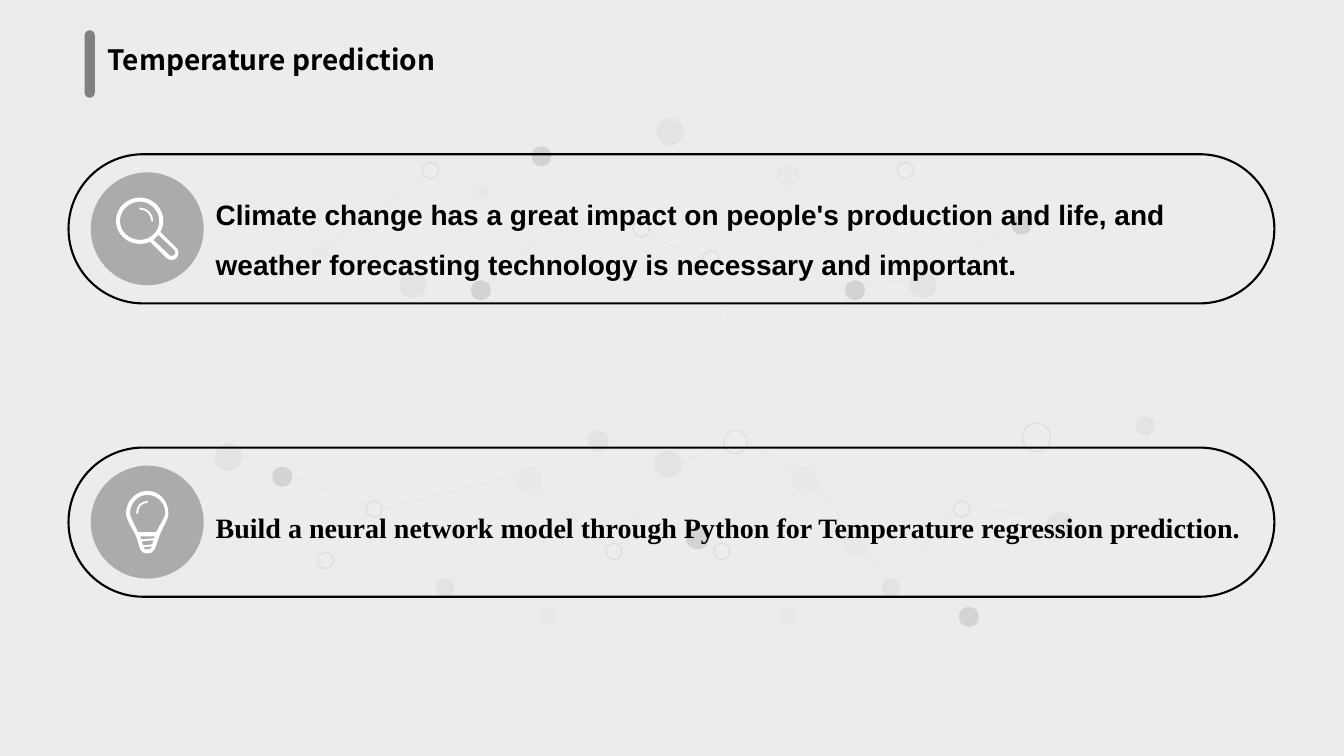
from pptx import Presentation
from pptx.util import Inches, Pt
from pptx.dml.color import RGBColor as Rgb
from pptx.enum.shapes import MSO_SHAPE as Shape, MSO_CONNECTOR as Link
from pptx.enum.text import MSO_AUTO_SIZE as Auto
from pptx.oxml.ns import qn
from lxml.etree import SubElement as Sub

THEME = {
    "back": "ECECEC", "ink": "000000", "gray": "808080", "white": "FFFFFF",
    "web": "BFBFBF", "dark": "262626", "mid": "A6A6A6", "pale": "D9D9D9", "ring": "F7F7F7",
    "size": 20, "thin": 0.5, "edge": 1, "frame": 1.5,
}
SIZE = (13.33, 7.5)

WEB = [
    (8.41, 2.95, 8.07, 3.72), (9.17, 2.77, 8.49, 2.81), (9.12, 2.81, 10.03, 2.23),
    (7.15, 4.4, 6.67, 4.65), (3.78, 5.05, 5.18, 4.7), (2.9, 4.73, 3.71, 5.04),
    (6.03, 5.44, 5.2, 4.72), (6.15, 5.41, 6.58, 4.65), (7.06, 2.6, 7.27, 3.37),
    (7.35, 4.34, 8, 4.77), (9.62, 5.05, 10.52, 5.12), (8.88, 5.81, 9.46, 5.05),
    (8.85, 5.81, 8.04, 4.75), (5.52, 2.17, 6.3, 2.22), (5.51, 2.23, 4.84, 2.81),
    (6.41, 2.33, 6.97, 2.57), (3.23, 2.46, 4.21, 1.75), (4.77, 2.78, 4.32, 1.75),
]
DOTS = {
    ("pale", 0.17): [(8.58, 2.09), (7.59, 2.09), (7.73, 6.03), (3.09, 2.43), (4.68, 1.82),
                     (5.49, 2.09), (5.35, 6.03), (4.44, 5.18)],
    ("pale", 0.23): [(7.7, 1.62)],
    ("pale", 0.27): [(7.85, 4.63), (8.35, 5.26), (5.12, 4.63)],
    ("mid", 0.19): [(11.26, 4.13), (8.74, 5.74), (4.32, 5.74)],
    ("mid", 0.21): [(5.83, 4.27)],
    ("mid", 0.27): [(9.02, 2.69), (10.38, 5.08), (2.13, 4.4), (3.96, 2.69), (6.51, 1.17),
                    (6.49, 4.47)],
    ("dark", 0.2): [(10.03, 2.13), (8.38, 2.78), (9.51, 6.02), (5.27, 1.45), (4.67, 2.78),
                    (2.7, 4.63)],
    ("dark", 0.24): [(6.8, 5.21)],
    ("ring", 0.16): [(9.46, 4.97), (8.9, 1.61), (6.97, 2.49), (7.08, 5.39), (3.63, 4.97),
                     (4.19, 1.61), (6.28, 2.19), (6.01, 5.39), (3.15, 5.48)],
    ("ring", 0.23): [(7.18, 4.27)],
    ("ring", 0.28): [(10.14, 4.2)],
}
LENS = [
    "M 1.39 2.38 C 1.49 2.38 1.58 2.3 1.58 2.19 C 1.58 2.09 1.49 2 1.39 2 "
    "C 1.28 2 1.19 2.09 1.19 2.19 C 1.19 2.3 1.28 2.38 1.39 2.38 "
    "M 1.68 2.53 C 1.68 2.54 1.69 2.54 1.7 2.54 C 1.72 2.54 1.74 2.53 1.74 2.51 "
    "C 1.74 2.5 1.73 2.49 1.73 2.48 L 1.57 2.33 C 1.56 2.35 1.54 2.36 1.52 2.38 "
    "M 1.39 1.96 C 1.51 1.96 1.62 2.06 1.62 2.19 C 1.62 2.23 1.61 2.27 1.59 2.3 "
    "L 1.75 2.46 C 1.76 2.47 1.77 2.49 1.77 2.51 C 1.77 2.55 1.74 2.58 1.7 2.58 "
    "C 1.68 2.58 1.67 2.57 1.65 2.56 L 1.49 2.4 C 1.46 2.41 1.42 2.42 1.39 2.42 "
    "C 1.26 2.42 1.15 2.32 1.15 2.19 C 1.15 2.06 1.26 1.96 1.39 1.96",
    "M 1.39 2.06 C 1.46 2.06 1.52 2.12 1.52 2.19 C 1.52 2.2 1.52 2.2 1.51 2.2 "
    "C 1.51 2.2 1.5 2.2 1.5 2.19 C 1.5 2.13 1.45 2.08 1.39 2.08 "
    "C 1.38 2.08 1.38 2.07 1.38 2.07 C 1.38 2.06 1.38 2.06 1.39 2.06",
]
BULB = [
    "M 1.55 5.28 L 1.37 5.28 C 1.36 5.26 1.35 5.24 1.34 5.22 C 1.32 5.17 1.29 5.13 1.29 5.09 "
    "C 1.29 4.99 1.37 4.91 1.46 4.91 C 1.56 4.91 1.64 4.99 1.64 5.09 "
    "C 1.64 5.12 1.61 5.17 1.58 5.22 C 1.57 5.24 1.56 5.26 1.55 5.28 "
    "M 1.46 5.45 C 1.44 5.45 1.43 5.45 1.42 5.43 L 1.51 5.42 C 1.49 5.45 1.49 5.45 1.46 5.45 "
    "M 1.4 5.35 C 1.4 5.34 1.39 5.33 1.39 5.32 L 1.54 5.32 C 1.53 5.32 1.53 5.33 1.53 5.34 "
    "M 1.51 5.4 L 1.42 5.41 C 1.41 5.4 1.41 5.39 1.41 5.37 L 1.52 5.36 "
    "C 1.52 5.38 1.51 5.39 1.51 5.4 "
    "M 1.46 4.87 C 1.35 4.87 1.25 4.97 1.25 5.09 C 1.25 5.16 1.32 5.25 1.35 5.32 "
    "C 1.39 5.43 1.38 5.49 1.46 5.49 C 1.54 5.49 1.54 5.43 1.58 5.32 "
    "C 1.6 5.25 1.67 5.16 1.67 5.09 C 1.67 4.97 1.58 4.87 1.46 4.87",
    "M 1.46 4.97 C 1.4 4.97 1.35 5.02 1.35 5.09 C 1.35 5.09 1.35 5.1 1.36 5.1 "
    "C 1.36 5.1 1.37 5.09 1.37 5.09 C 1.37 5.03 1.41 4.99 1.46 4.99 "
    "C 1.47 4.99 1.47 4.99 1.47 4.98 C 1.47 4.98 1.47 4.97 1.46 4.97",
]
CARDS = [1.53, 4.44]
TITLE = ("Temperature prediction", (0.97, 0.37, 3.6, 0.44), "Noto Sans CJK SC", 1)
TEXTS = [
    ("Climate change has a great impact on people's production and life, and weather "
     "forecasting technology is necessary and important.",
     (2.04, 1.74, 10.52, 1.05), "Arial", 1.5),
    ("Build a neural network model through Python for Temperature regression prediction.",
     (2.04, 4.85, 10.45, 0.55), "Times New Roman", 1.5),
]

deck = Presentation()
deck.slide_width, deck.slide_height = map(Inches, SIZE)
slide = deck.slides.add_slide(deck.slide_layouts[6])
parts = slide.shapes


def tint(name):
    return Rgb.from_string(THEME[name])


def put(item, form):
    for key, val in form.items():
        setattr(item, key, val)


def paint(part, fill=None, line=None, width="edge", alpha=None):
    part.shadow.inherit = False
    if fill:
        part.fill.solid()
        part.fill.fore_color.rgb = tint(fill)
    else:
        part.fill.background()
    if alpha:
        tag = part.fill._xPr.find(qn("a:solidFill"))[0]
        Sub(tag, qn("a:alpha"), val=str(alpha * 1000))
    if line:
        part.line.color.rgb = tint(line)
        part.line.width = Pt(THEME[width])
    else:
        part.line.fill.background()


def add(kind, box, host=parts, **look):
    part = host.add_shape(kind, *map(Inches, box))
    if kind == Shape.ROUNDED_RECTANGLE:
        part.adjustments[0] = 0.5
    paint(part, **look)


def bend(part, kinds):
    legs = iter(list(part._element.iter(qn("a:lnTo"))))
    for kind in kinds:
        leg = next(legs)
        if kind == "C":
            arc = leg.getparent().makeelement(qn("a:cubicBezTo"))
            leg.addprevious(arc)
            for knot in (leg, next(legs), next(legs)):
                arc.append(knot[0])
                knot.getparent().remove(knot)


def icon(text, host=parts):
    loops = []
    for loop in text.split("M ")[1:]:
        nums = [float(word) for word in loop.split() if word not in "LC"]
        loops.append([(Inches(x), Inches(y)) for x, y in zip(nums[::2], nums[1::2])])
    pen = host.build_freeform(*loops[0][0])
    for turn, (start, *knots) in enumerate(loops):
        if turn:
            pen.move_to(*start)
        pen.add_line_segments(knots, close=True)
    part = pen.convert_to_shape()
    bend(part, [word for word in text.split() if word in "LC"])
    paint(part, fill="white")


def write(text, box, face, gap, host=parts):
    frame = host.add_textbox(*map(Inches, box)).text_frame
    put(frame, {"word_wrap": True, "auto_size": Auto.SHAPE_TO_FIT_TEXT})
    para = frame.paragraphs[0]
    para.line_spacing = gap
    run = para.add_run()
    run.text = text
    put(run.font, {"name": face, "size": Pt(THEME["size"]), "bold": True})
    run.font.color.rgb = tint("ink")


slide.background.fill.solid()
slide.background.fill.fore_color.rgb = tint("back")

for ends in WEB:
    link = parts.add_connector(Link.STRAIGHT, *map(Inches, ends))
    link.line.width = Pt(THEME["thin"])
    link.line.color.rgb = tint("web")
    Sub(link._element.spPr, qn("a:effectLst"))

for (name, size), spots in DOTS.items():
    for x, y in spots:
        add(Shape.OVAL, (x, y, size, size), fill=name, line="gray" if name == "ring" else None)

add(Shape.RECTANGLE, (0, 0, *SIZE), fill="back", alpha=88)

for top in CARDS:
    add(Shape.ROUNDED_RECTANGLE, (0.68, top, 11.96, 1.48), line="ink", width="frame")
for top in CARDS:
    add(Shape.OVAL, (0.9, top + 0.18, 1.12, 1.12), fill="gray", alpha=60)

lamp = parts.add_group_shape().shapes
for mark in BULB:
    icon(mark, lamp)
for mark in LENS:
    icon(mark)

head = parts.add_group_shape().shapes
write(*TITLE, host=head)
add(Shape.ROUNDED_RECTANGLE, (0.84, 0.3, 0.1, 0.67), head, fill="gray")
for row in TEXTS:
    write(*row)

deck.save("out.pptx")
